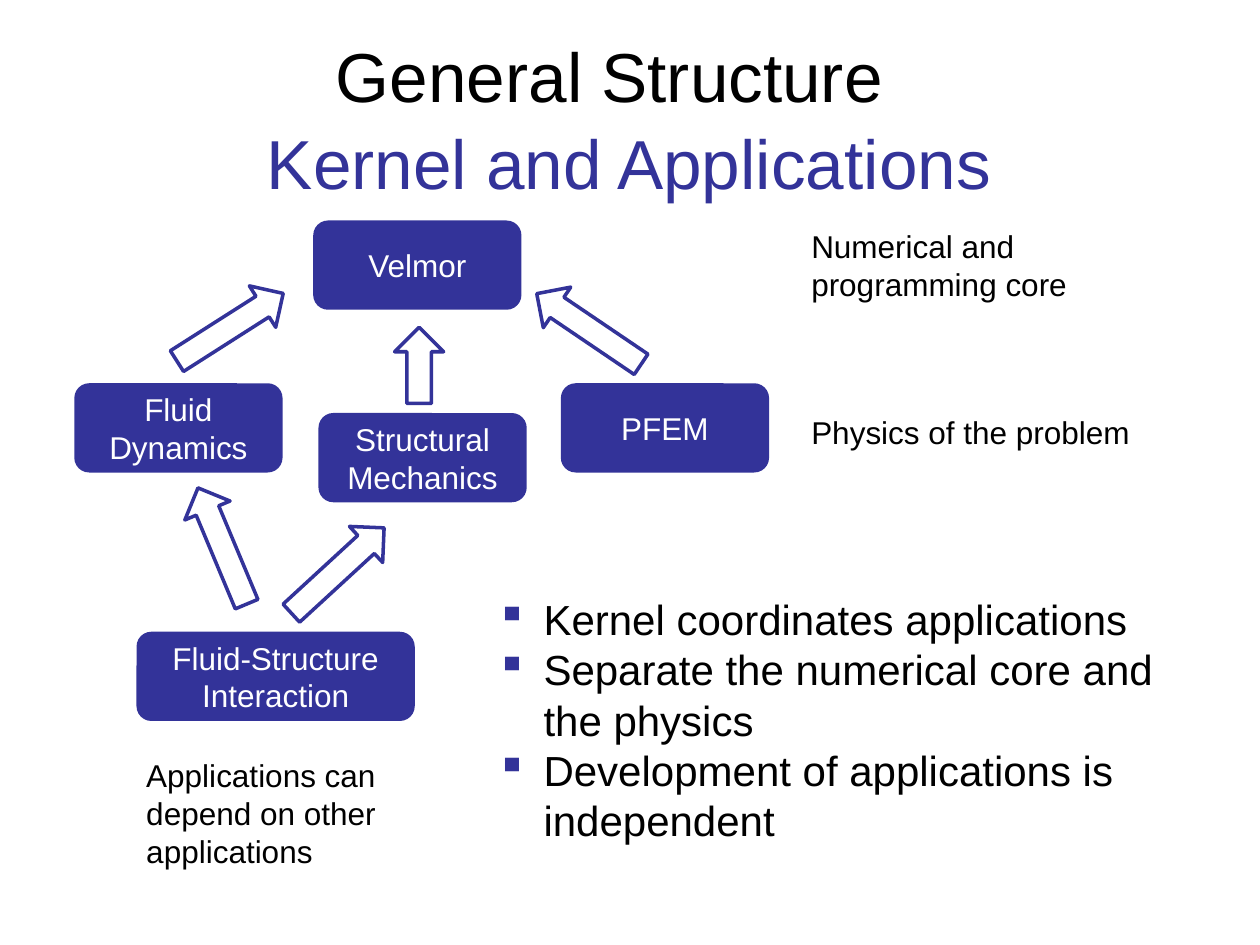
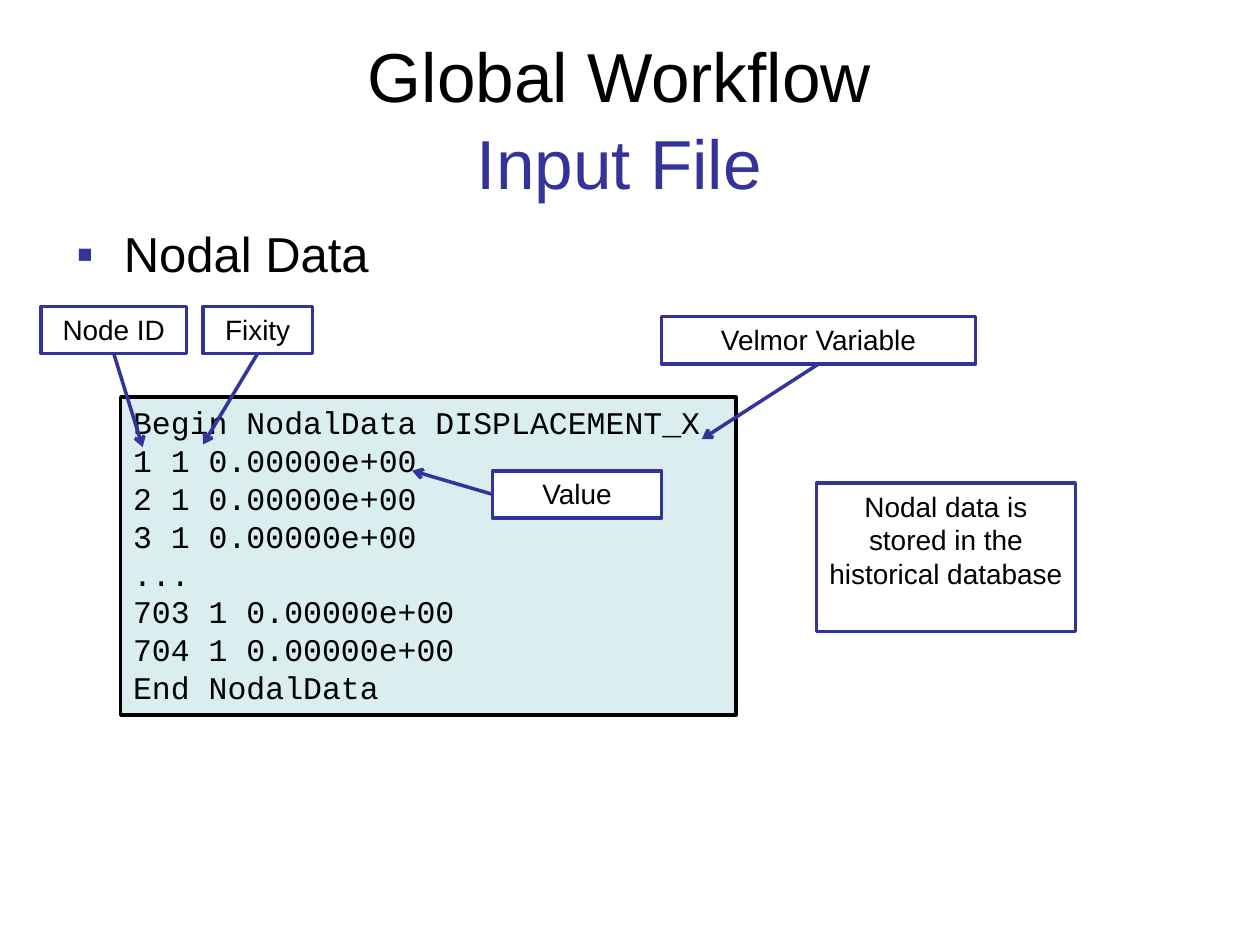
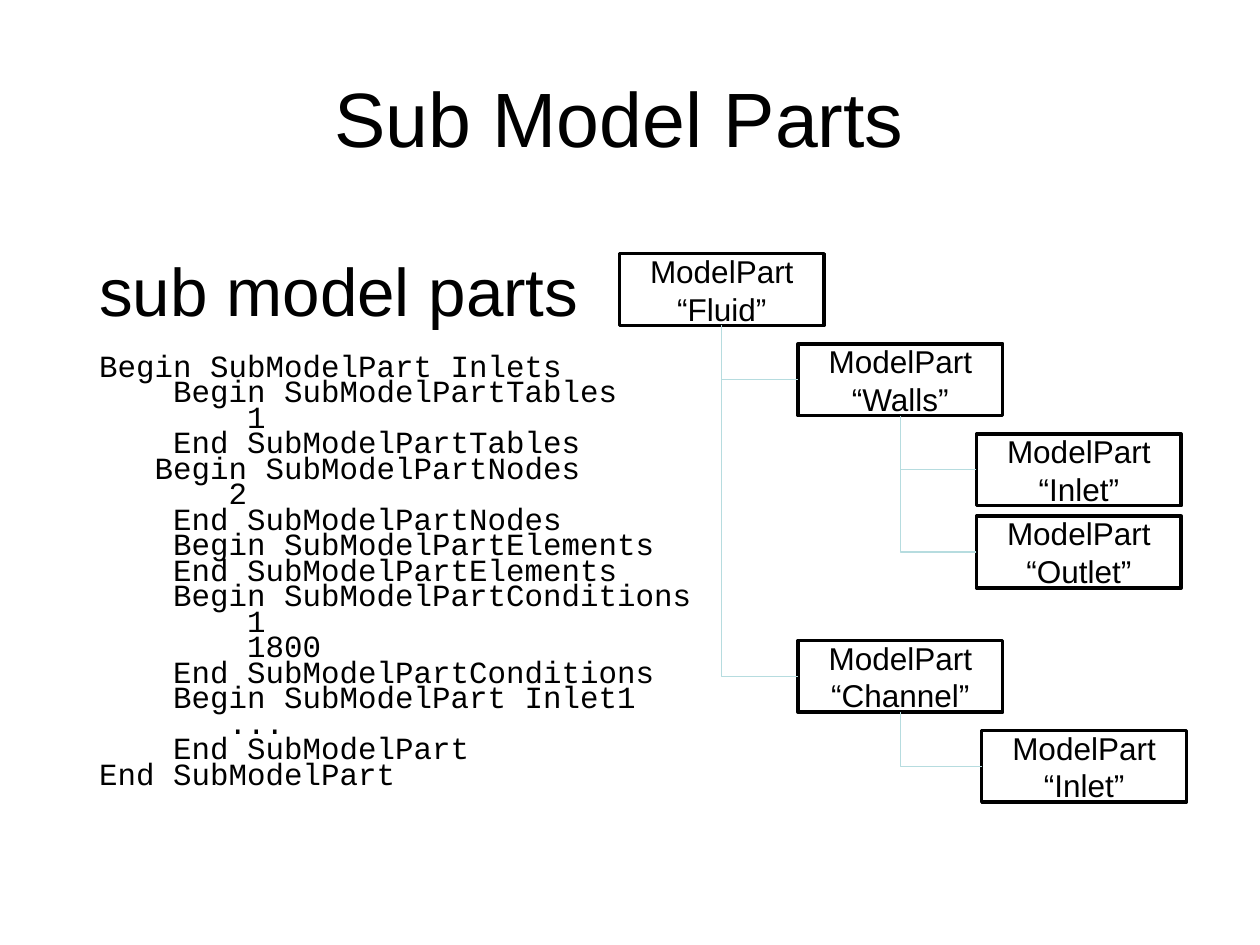
from lxml.etree import SubElement
from pptx import Presentation
from pptx.dml.color import RGBColor
from pptx.enum.shapes import MSO_CONNECTOR, MSO_SHAPE
from pptx.enum.text import MSO_ANCHOR, MSO_AUTO_SIZE, PP_ALIGN
from pptx.oxml.ns import qn
from pptx.util import Pt

COLORS = {
    "ink": "000000",
    "accent": "333399",
    "paper": "FFFFFF",
    "code": "DAEDEF",
    "branch": "B6DCDF",
}
SANS, MONO = "Arial", "Courier New"
LEFT, BOTTOM = 1, 2
TITLE_ONLY, TITLE_AND_BODY = 5, 1


def rgb(color):
    """Return the named colour."""
    return RGBColor.from_string(COLORS[color])


class Deck:
    """Hold the shared style and the slide being built."""

    def __init__(self):
        """Start an empty 10 by 7.5 inch presentation."""
        self.presentation = Presentation()
        self.presentation.slide_width = Pt(720)
        self.presentation.slide_height = Pt(540)
        self.slide = None

    def add_slide(self, layout, heading, subheading=None, size=39.6):
        """Add a slide with a centred title and a coloured second line."""
        self.slide = self.presentation.slides.add_slide(
            self.presentation.slide_layouts[layout])
        title = self.slide.shapes.title
        self.place(title, 36, 21.6, 636, 90)
        frame = self.frame(title, MSO_ANCHOR.MIDDLE)
        self.compose(frame, [heading], size, align=PP_ALIGN.CENTER)
        if subheading:
            paragraph = frame.paragraphs[0]
            paragraph.line_spacing = 1.04
            paragraph.add_line_break()
            run = paragraph.add_run()
            run.text = subheading
            run.font.color.rgb = rgb("accent")

    def place(self, shape, left, top, width, height):
        """Move a placeholder."""
        shape.left, shape.top = Pt(left), Pt(top)
        shape.width, shape.height = Pt(width), Pt(height)

    def frame(self, shape, anchor=MSO_ANCHOR.TOP):
        """Return the text frame, wrapped and with a fixed size."""
        frame = shape.text_frame
        frame.word_wrap = True
        frame.auto_size = MSO_AUTO_SIZE.NONE
        frame.vertical_anchor = anchor
        return frame

    def compose(self, frame, lines, size, color="ink", font=SANS,
                align=PP_ALIGN.LEFT, bullet=False, spacing=None, before=0):
        """Set one paragraph per line and return the paragraphs."""
        paragraphs = []
        for line in lines:
            paragraph = frame.paragraphs[0]
            if paragraph.runs:
                paragraph = frame.add_paragraph()
            paragraph.text = line
            self.mark(paragraph, bullet)
            paragraph.alignment = align
            paragraph.line_spacing = spacing
            paragraph.space_before = Pt(before)
            paragraph.font.name = font
            paragraph.font.size = Pt(size)
            paragraph.font.color.rgb = rgb(color)
            paragraphs.append(paragraph)
        return paragraphs

    def mark(self, paragraph, bullet):
        """Give a paragraph a square bullet, or none."""
        properties = paragraph._p.get_or_add_pPr()
        indent = Pt(27) if bullet else 0
        properties.set("marL", str(indent))
        properties.set("indent", str(-indent))
        if bullet:
            color = SubElement(properties, qn("a:buClr"))
            SubElement(color, qn("a:srgbClr"), val=COLORS["accent"])
            SubElement(properties, qn("a:buChar"), char="▪")
        else:
            SubElement(properties, qn("a:buNone"))

    def body(self, left, top, width, height):
        """Move the body placeholder and return its text frame."""
        placeholder = self.slide.placeholders[1]
        self.place(placeholder, left, top, width, height)
        return self.frame(placeholder)

    def text(self, left, top, width, height, lines, size=18, bullet=False):
        """Add a plain text box."""
        box = self.slide.shapes.add_textbox(
            Pt(left), Pt(top), Pt(width), Pt(height))
        self.compose(self.frame(box), lines, size, bullet=bullet)

    def shape(self, kind, left, top, width, height, fill=None, line=None):
        """Add a preset shape without shadow."""
        shape = self.slide.shapes.add_shape(
            kind, Pt(left), Pt(top), Pt(width), Pt(height))
        shape.shadow.inherit = False
        if fill:
            shape.fill.solid()
            shape.fill.fore_color.rgb = rgb(fill)
        else:
            shape.fill.background()
        if line:
            shape.line.color.rgb = rgb(line)
            shape.line.width = Pt(2)
        else:
            shape.line.fill.background()
        return shape

    def module(self, left, top, name, width=119):
        """Add a rounded block for a software module."""
        block = self.shape(MSO_SHAPE.ROUNDED_RECTANGLE,
                           left, top, width, 51, fill="accent")
        self.compose(self.frame(block, MSO_ANCHOR.MIDDLE), [name], 18,
                     color="paper", align=PP_ALIGN.CENTER)

    def block_arrow(self, left, top, rotation, length=72):
        """Add a rotated outline arrow."""
        arrow = self.shape(MSO_SHAPE.DOWN_ARROW, left, top, 28, length,
                           line="accent")
        arrow.rotation = rotation

    def panel(self, left, top, width, height, lines, size=16, fill="paper",
              line="accent", font=SANS, align=PP_ALIGN.CENTER,
              anchor=MSO_ANCHOR.TOP):
        """Add an outlined rectangle with text."""
        panel = self.shape(MSO_SHAPE.RECTANGLE, left, top, width, height,
                           fill, line)
        self.compose(self.frame(panel, anchor), lines, size, font=font,
                     align=align)
        return panel

    def connector(self, kind, start, site, end, color, width):
        """Add a connector from a site of a shape to a point."""
        line = self.slide.shapes.add_connector(
            kind, start.left, start.top, *end)
        line.begin_connect(start, site)
        line.line.color.rgb = rgb(color)
        line.line.width = Pt(width)
        SubElement(line.element.spPr, qn("a:effectLst"))
        return line

    def pointer(self, label, site, target):
        """Point from a label to a place in the code."""
        end = [Pt(length) for length in target]
        line = self.connector(MSO_CONNECTOR.STRAIGHT, label, site, end,
                              "accent", 2)
        outline = line.element.spPr.find(qn("a:ln"))
        SubElement(outline, qn("a:tailEnd"), type="arrow")

    def branch(self, parent, child):
        """Join a child to the bottom of its parent with one bend."""
        line = self.connector(MSO_CONNECTOR.ELBOW, child, LEFT,
                              (parent.left, parent.top), "branch", 0.75)
        line.end_connect(parent, BOTTOM)
        geometry = line.element.spPr.find(qn("a:prstGeom"))
        geometry.set("prst", "bentConnector2")


def build_structure(deck):
    """Build the slide on the kernel and its applications."""
    deck.add_slide(TITLE_ONLY, "General Structure\t",
                   " Kernel and Applications")
    for left, top, name in [(179, 126, "Velmor"),
                            (42.5, 219, "Fluid Dynamics"),
                            (182, 236, "Structural Mechanics"),
                            (320.5, 219, "PFEM")]:
        deck.module(left, top, name)
    deck.module(78, 361, "Fluid-Structure Interaction", width=159)
    for left, top, rotation in [(322.5, 152, 124.1), (179, 290, 227.4),
                                (113, 276, 157.3), (117.5, 151, 237.5)]:
        deck.block_arrow(left, top, rotation)
    deck.block_arrow(225.5, 187, 180, length=43.5)
    deck.text(456.5, 126, 176, 51, ["Numerical and programming core"])
    deck.text(456.5, 232.5, 198, 29, ["Physics of the problem"])
    deck.text(76.5, 428.5, 147, 73,
              ["Applications can depend on other applications"])
    deck.text(276.5, 335.5, 402.5, 153,
              ["Kernel coordinates applications",
               "Separate the numerical core and the physics",
               "Development of applications is independent"],
              size=24, bullet=True)


def build_input_file(deck):
    """Build the slide on nodal data in the input file."""
    deck.add_slide(TITLE_AND_BODY, "Global Workflow", "Input File")
    deck.compose(deck.body(36.5, 128, 635, 356.5), ["Nodal Data"], 28,
                 bullet=True, spacing=0.9, before=5.6)
    deck.panel(69, 227, 351.5, 181.5,
               ["Begin NodalData DISPLACEMENT_X",
                "1 1 0.00000e+00",
                "2 1 0.00000e+00",
                "3 1 0.00000e+00",
                "...",
                "703 1 0.00000e+00",
                "704 1 0.00000e+00",
                "End NodalData"],
               size=18, fill="code", line="ink", font=MONO,
               align=PP_ALIGN.LEFT)
    for left, top, width, name, site, target in [
            (23.5, 175, 83, "Node ID", BOTTOM, (81.5, 255.5)),
            (378, 181, 179.5, "Velmor Variable", BOTTOM, (401, 251)),
            (116, 175, 62.5, "Fixity", BOTTOM, (116, 254)),
            (281.5, 269, 96.5, "Value", LEFT, (235.5, 269))]:
        label = deck.panel(left, top, width, 27, [name])
        deck.pointer(label, site, target)
    deck.panel(466.5, 276, 148, 85,
               ["Nodal data is stored in the historical database"])


def build_sub_model_parts(deck):
    """Build the slide on nested model parts."""
    deck.add_slide(TITLE_AND_BODY, "Sub Model Parts", size=44)
    listing = [
        (0, "Begin SubModelPart Inlets"),
        (4, "Begin SubModelPartTables"),
        (8, "1"),
        (4, "End SubModelPartTables"),
        (3, "Begin SubModelPartNodes"),
        (7, "2"),
        (4, "End SubModelPartNodes"),
        (4, "Begin SubModelPartElements"),
        (4, "End SubModelPartElements"),
        (4, "Begin SubModelPartConditions"),
        (8, "1"),
        (8, "1800"),
        (4, "End SubModelPartConditions"),
        (4, "Begin SubModelPart Inlet1"),
        (7, "..."),
        (4, "End SubModelPart"),
        (0, "End SubModelPart"),
    ]
    code_size = 17.6
    body = deck.body(49.5, 144, 357, 390)
    deck.compose(body, ["sub model parts"], 38.5, spacing=0.9, before=7.7)
    code = deck.compose(body, [line for _, line in listing], code_size,
                        font=MONO, spacing=0.5, before=4)
    code[0].space_before = Pt(18)
    for paragraph, (depth, _) in zip(code, listing):
        indent = Pt(0.6 * code_size * depth)
        paragraph._p.get_or_add_pPr().set("marL", str(indent))

    def part(left, top, name, parent=None):
        """Add a model part and join it to its parent."""
        box = deck.panel(left, top, 117, 41, ["ModelPart", f"“{name}”"],
                         size=18, line="ink", anchor=MSO_ANCHOR.MIDDLE)
        if parent:
            deck.branch(parent, box)
        return box

    fluid = part(354, 145, "Fluid")
    walls = part(456, 196.5, "Walls", fluid)
    part(558, 248, "Inlet", walls)
    part(558, 295, "Outlet", walls)
    channel = part(456, 366, "Channel", fluid)
    part(561, 417.5, "Inlet", channel)


def main():
    """Build and save the presentation."""
    deck = Deck()
    build_structure(deck)
    build_input_file(deck)
    build_sub_model_parts(deck)
    deck.presentation.save("out.pptx")


if __name__ == "__main__":
    main()
